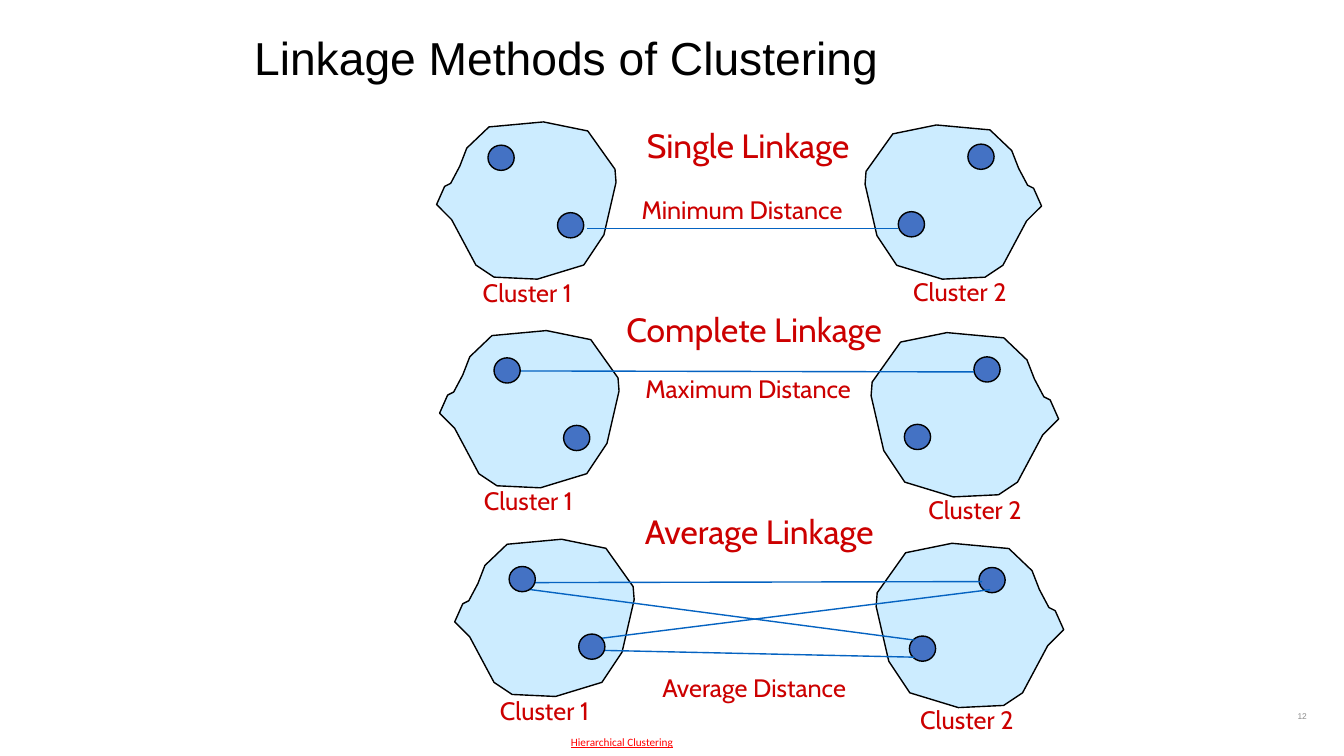
from lxml import etree
from pptx import Presentation
from pptx.dml.color import RGBColor
from pptx.enum.shapes import MSO_CONNECTOR, MSO_SHAPE
from pptx.enum.text import MSO_ANCHOR, PP_ALIGN
from pptx.oxml.ns import qn
from pptx.util import Inches, Pt

LEFT, CENTER, RIGHT = PP_ALIGN.LEFT, PP_ALIGN.CENTER, PP_ALIGN.RIGHT
TOP, MIDDLE = MSO_ANCHOR.TOP, MSO_ANCHOR.MIDDLE
OVAL = MSO_SHAPE.OVAL
STRAIGHT = MSO_CONNECTOR.STRAIGHT

BLACK = RGBColor(0x00, 0x00, 0x00)
RED = RGBColor(0xCC, 0x00, 0x00)
FOOTER_RED = RGBColor(0xFF, 0x00, 0x00)
GRAY = RGBColor(0x8C, 0x8C, 0x8C)
PALE_BLUE = RGBColor(0xCC, 0xEC, 0xFF)
DOT_BLUE = RGBColor(0x44, 0x72, 0xC4)
LINE_BLUE = RGBColor(0x05, 0x63, 0xC1)

# Cluster outline in inches from its top left corner; cluster 2 mirrors it
OUTLINE_W, OUTLINE_H = 1.78, 1.56
OUTLINE = [(0.52, 0.05), (1.06, 0), (1.5, 0.09), (1.77, 0.47), (1.78, 0.6),
           (1.66, 1.12), (1.46, 1.42), (1, 1.56), (0.57, 1.54), (0.39, 1.42),
           (0.15, 0.97), (0, 0.82), (0.08, 0.64), (0.14, 0.61),
           (0.23, 0.44), (0.3, 0.26)]
DOT_W, DOT_H = 0.26, 0.25

# Boxes are left, top, width, height; dots are left, top; links are x1, y1, x2, y2
LINKAGES = [
    dict(title=("Single Linkage", (5.46, 1.19, 3.92, 0.5)),
         distance=("Minimum Distance", (6.23, 1.88, 2.26, 0.4)),
         clusters=[(4.33, 1.21, 1.78, 1.56), (8.58, 1.24, 1.75, 1.53)],
         labels=[(4.46, 2.7), (8.75, 2.69)],
         dots1=[(4.84, 1.44), (5.53, 2.11)],
         dots2=[(9.6, 1.43), (8.91, 2.1)],
         links=[(5.82, 2.27, 8.91, 2.27)]),
    dict(title=("Complete Linkage", (5.52, 3.02, 3.92, 0.5)),
         distance=("Maximum Distance", (6.29, 3.65, 2.26, 0.7)),
         clusters=[(4.36, 3.28, 1.78, 1.56), (8.64, 3.3, 1.86, 1.63)],
         labels=[(4.47, 4.77), (8.9, 4.85)],
         dots1=[(4.9, 3.55), (5.59, 4.22)],
         dots2=[(9.66, 3.54), (8.97, 4.21)],
         links=[(5.12, 3.68, 9.66, 3.69)]),
    dict(title=("Average Linkage", (5.57, 5.02, 3.92, 0.5)),
         distance=("Average Distance", (6.35, 6.62, 2.26, 0.4)),
         clusters=[(4.51, 5.35, 1.78, 1.56), (8.69, 5.39, 1.86, 1.63)],
         labels=[(4.63, 6.85), (8.82, 6.94)],
         dots1=[(5.05, 5.62), (5.74, 6.29)],
         dots2=[(9.71, 5.63), (9.02, 6.31)],
         links=[(5.88, 6.45, 9.07, 6.52), (5.18, 5.78, 9.74, 5.77),
                (5.19, 5.84, 9.07, 6.35), (9.82, 5.85, 5.82, 6.35)]),
]


def set_text(tf, text, size=18, font="Cabin", color=RED, align=CENTER,
             anchor=TOP, underline=None, line_spacing=None):
    tf.word_wrap = True
    tf.vertical_anchor = anchor
    p = tf.paragraphs[0]
    p.alignment = align
    p.line_spacing = line_spacing
    r = p.add_run()
    r.text = text
    r.font.size = Pt(size)
    r.font.name = font
    r.font.color.rgb = color
    r.font.underline = underline


def add_text(s, text, box, **fmt):
    sp = s.shapes.add_textbox(*map(Inches, box))
    set_text(sp.text_frame, text, **fmt)


def style_shape(sp, fill):
    sp.shadow.inherit = False
    sp.fill.solid()
    sp.fill.fore_color.rgb = fill
    sp.line.color.rgb = BLACK
    sp.line.width = Pt(1)


def add_cluster(s, box, mirrored):
    left, top, width, height = box
    points = []
    for x, y in OUTLINE:
        x = OUTLINE_W - x if mirrored else x
        points.append((Inches(left + x * width / OUTLINE_W),
                       Inches(top + y * height / OUTLINE_H)))
    builder = s.shapes.build_freeform(*points[0])
    builder.add_line_segments(points[1:], close=True)
    style_shape(builder.convert_to_shape(), PALE_BLUE)


def add_dots(s, corners):
    for left, top in corners:
        sp = s.shapes.add_shape(OVAL, Inches(left), Inches(top),
                                Inches(DOT_W), Inches(DOT_H))
        style_shape(sp, DOT_BLUE)


def add_link(s, ends):
    line = s.shapes.add_connector(STRAIGHT, *map(Inches, ends))
    line.line.color.rgb = LINE_BLUE
    line.line.width = Pt(1)
    etree.SubElement(line._element.spPr, qn("a:effectLst"))


def add_linkage(s, linkage):
    for i, box in enumerate(linkage["clusters"]):
        add_cluster(s, box, mirrored=i == 1)
    # Links run over the dots of cluster 2 and under those of cluster 1
    add_dots(s, linkage["dots2"])
    for ends in linkage["links"]:
        add_link(s, ends)
    add_dots(s, linkage["dots1"])
    # Captions
    add_text(s, *linkage["title"], size=24)
    add_text(s, *linkage["distance"])
    for number, (left, top) in enumerate(linkage["labels"], 1):
        add_text(s, f"Cluster {number}", (left, top, 1.54, 0.4))


def main():
    prs = Presentation()
    prs.slide_width, prs.slide_height = Inches(13.33), Inches(7.5)
    s = prs.slides.add_slide(prs.slide_layouts[5])

    # Title
    title = s.shapes.title
    title.left, title.top = Inches(2.42), Inches(0.17)
    title.width, title.height = Inches(8.52), Inches(0.86)
    set_text(title.text_frame, "Linkage Methods of Clustering", size=33,
             font="Arial", color=BLACK, align=LEFT, anchor=MIDDLE,
             line_spacing=0.9)

    # One row for each linkage method
    for linkage in LINKAGES:
        add_linkage(s, linkage)

    # Footer and slide number
    add_text(s, "Hierarchical Clustering", (3.92, 7.16, 4.5, 0.4), size=8,
             font="Calibri", color=FOOTER_RED, anchor=MIDDLE, underline=True)
    add_text(s, "12", (10.06, 6.9, 3, 0.4), size=6, font="Arial", color=GRAY,
             align=RIGHT, anchor=MIDDLE)

    prs.save("out.pptx")


if __name__ == "__main__":
    main()
